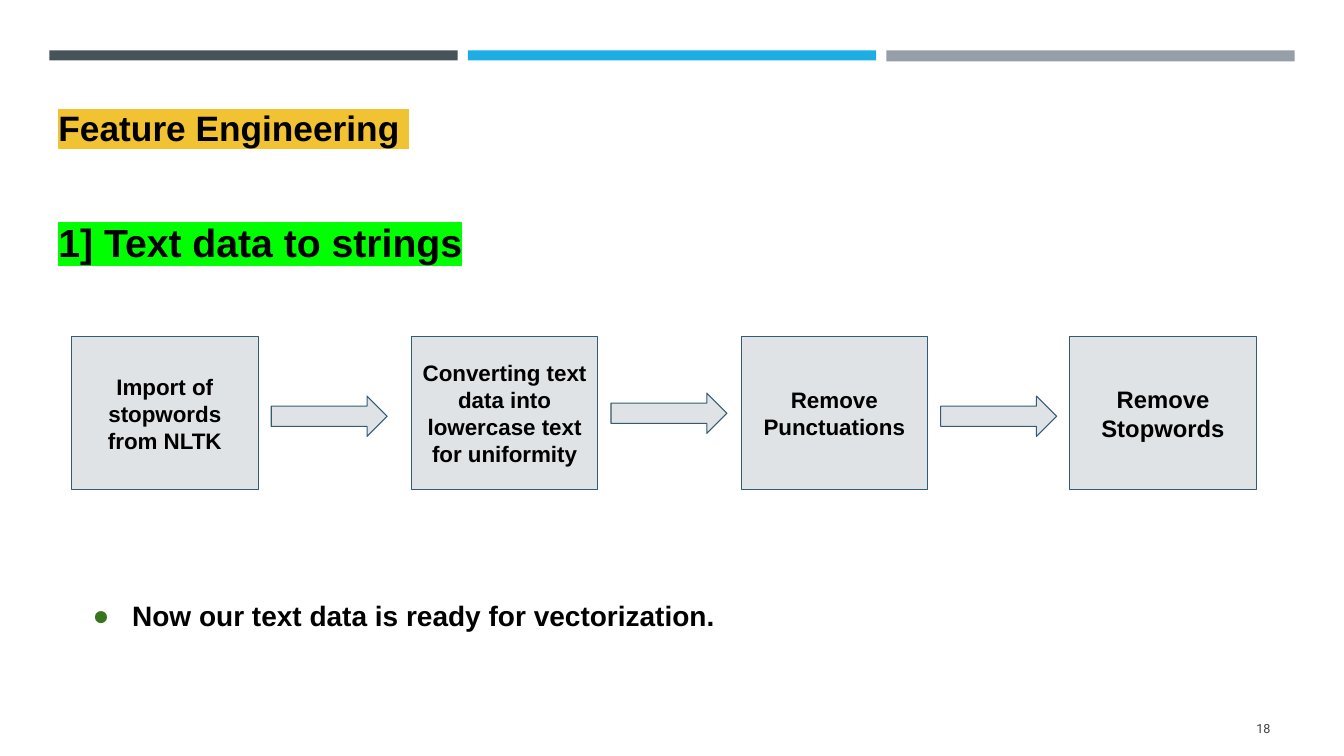
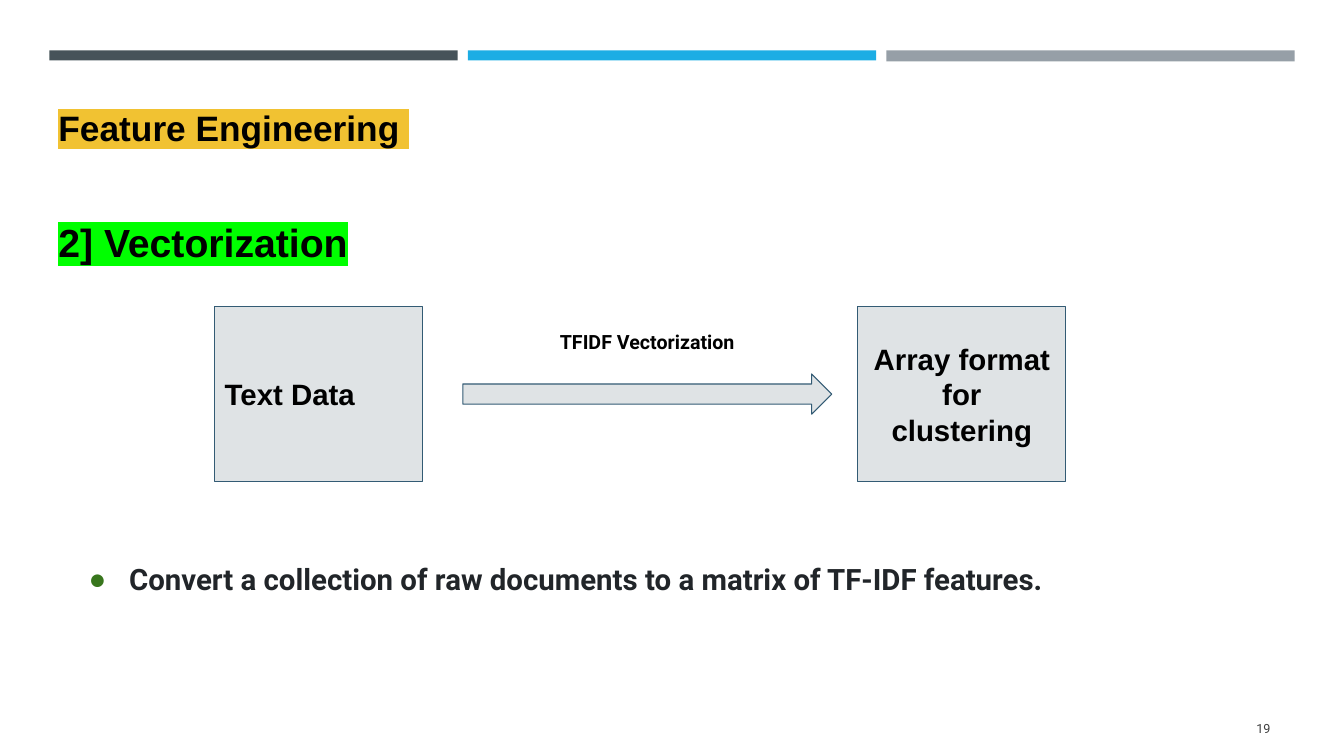
from dataclasses import dataclass

from lxml.etree import SubElement
from pptx import Presentation
from pptx.dml.color import RGBColor
from pptx.enum.shapes import MSO_SHAPE as Shape
from pptx.enum.text import MSO_ANCHOR as Anchor, MSO_AUTO_SIZE as AutoSize, PP_ALIGN as Align
from pptx.oxml import parse_xml
from pptx.oxml.ns import nsdecls, qn
from pptx.util import Inches, Pt

BLACK = "000000"
PANEL = "DFE3E5"
OUTLINE = "335B74"
BULLET = "38761D"
BANDS = (("465359", 0.1), ("1CADE4", 0.1), ("969FA7", 0.11))
BAND_WIDTH = 4.05
BAND_STEP = 4.15
ARROW_HEIGHT = 0.4


@dataclass(frozen=True)
class Area:
    left: float
    top: float
    width: float
    height: float


@dataclass(frozen=True)
class Style:
    size: float
    font: str = "Arial"
    color: str = BLACK
    bold: bool = True
    highlight: str = ""


@dataclass(frozen=True)
class Step:
    text: str
    area: Area
    size: float
    align: Align = Align.CENTER


@dataclass(frozen=True)
class Note:
    text: str
    area: Area
    style: Style
    hanging: float
    spacing: float = 1.0


TITLE = Style(25.2, highlight="F1C232")
TITLE_END = Style(25.2, bold=False, highlight="F1C232")
HEADING = Style(28, highlight="00FF00")
NUMBER = Style(9, "Roboto", "3F3F3F", False)
LABEL = Style(14, "Roboto")


def rgb(color: str) -> RGBColor:
    return RGBColor.from_string(color)


def place(shape, area: Area) -> None:
    shape.left, shape.top = Inches(area.left), Inches(area.top)
    shape.width, shape.height = Inches(area.width), Inches(area.height)


def set_frame(shape, anchor: Anchor, inset: float = 0.1):
    frame = shape.text_frame
    frame.word_wrap = True
    frame.auto_size = AutoSize.NONE
    frame.vertical_anchor = anchor
    frame.margin_left = frame.margin_right = Inches(0.1)
    frame.margin_top = frame.margin_bottom = Inches(inset)
    return frame.paragraphs[0]


def set_spacing(para, lines: float, before: float = 20.7) -> None:
    para.line_spacing = lines
    para.space_before = Pt(before)


def add_span(para, text: str, style: Style) -> None:
    span = para.add_run()
    span.text = text
    span.font.size = Pt(style.size)
    span.font.bold = style.bold
    span.font.name = style.font
    span.font.color.rgb = rgb(style.color)
    if style.highlight:
        fill = span._r.get_or_add_rPr().find(qn("a:solidFill"))
        fill.addnext(parse_xml(
            f'<a:highlight {nsdecls("a")}><a:srgbClr val="{style.highlight}"/></a:highlight>'))


def add_text(page, text: str, area: Area, style: Style, align: Align = Align.LEFT,
             anchor: Anchor = Anchor.TOP, inset: float = 0.1):
    box = page.shapes.add_textbox(0, 0, 0, 0)
    para = set_frame(box, anchor, inset)
    place(box, area)
    para.alignment = align
    add_span(para, text, style)
    return para


def add_block(page, kind: Shape, area: Area, fill: str, outline: str = ""):
    block = page.shapes.add_shape(kind, 0, 0, 0, 0)
    place(block, area)
    block.shadow.inherit = False
    block.fill.solid()
    block.fill.fore_color.rgb = rgb(fill)
    if outline:
        block.line.color.rgb = rgb(outline)
        block.line.width = Pt(0.75)
    else:
        block.line.fill.background()
    return block


def add_step(page, step: Step) -> None:
    box = add_block(page, Shape.RECTANGLE, step.area, PANEL, OUTLINE)
    para = set_frame(box, Anchor.MIDDLE)
    para.alignment = step.align
    add_span(para, step.text, Style(step.size))


def add_arrow(page, left: float, top: float, width: float) -> None:
    add_block(page, Shape.RIGHT_ARROW, Area(left, top, width, ARROW_HEIGHT), PANEL, OUTLINE)


def fill_note(page, note: Note) -> None:
    body = page.placeholders[1]
    place(body, note.area)
    para = set_frame(body, Anchor.TOP)
    set_spacing(para, note.spacing, 20.7 if note.spacing > 1 else 0)
    properties = para._p.get_or_add_pPr()
    properties.set("marL", str(Inches(0.5)))
    properties.set("indent", str(-Inches(note.hanging)))
    color = SubElement(properties, qn("a:buClr"))
    SubElement(color, qn("a:srgbClr")).set("val", BULLET)
    SubElement(properties, qn("a:buFont")).set("typeface", "Arial")
    SubElement(properties, qn("a:buChar")).set("char", "●")
    add_span(para, note.text, note.style)


def add_page(deck, number: int, heading: str, note: Note):
    page = deck.slides.add_slide(deck.slide_layouts[1])
    title = page.shapes.title
    place(title, Area(0.48, 0.71, 11.72, 0.81))
    para = set_frame(title, Anchor.BOTTOM, 0.05)
    para.alignment = Align.LEFT
    set_spacing(para, 1.48)
    add_span(para, "Feature Engineering", TITLE)
    add_span(para, " ", TITLE_END)
    add_text(page, str(number), Area(11.55, 7.03, 1.15, 0.4), NUMBER,
             Align.RIGHT, Anchor.MIDDLE, 0.05)
    set_spacing(add_text(page, heading, Area(0.48, 1.84, 4.31, 0.67), HEADING), 1.48)
    fill_note(page, note)
    return page


def add_bands(page) -> None:
    for index, (color, height) in enumerate(BANDS):
        area = Area(0.49 + index * BAND_STEP, 0.5, BAND_WIDTH, height)
        band = add_block(page, Shape.RECTANGLE, area, color)
        page.slide_layout.shapes.element.append(band.element)


def add_strings_page(deck) -> None:
    note = Note("Now our text data is ready for vectorization.", Area(0.71, 5.68, 6.67, 0.54),
                Style(20, highlight="FFFFFF"), 0.39, 1.48)
    page = add_page(deck, 18, "1] Text data to strings", note)
    add_bands(page)
    steps = (
        ("Import of stopwords from NLTK", 0.71, 16),
        ("Converting text data into lowercase text for uniformity", 4.08, 16),
        ("Remove Punctuations", 7.35, 16),
        ("Remove Stopwords", 10.61, 17),
    )
    for text, left, size in steps:
        add_step(page, Step(text, Area(left, 3.34, 1.85, 1.52), size))
    for (_, left, _), top in zip(steps, (3.93, 3.9, 3.93)):
        add_arrow(page, left + 1.98, top, 1.15)


def add_vectors_page(deck) -> None:
    note = Note("Convert a collection of raw documents to a matrix of TF-IDF features.",
                Area(0.68, 5.47, 10.17, 0.56),
                Style(21, "Roboto", "212529", highlight="FFFFFF"), 0.4)
    page = add_page(deck, 19, "2] Vectorization", note)
    add_step(page, Step("Text Data", Area(2.13, 3.04, 2.06, 1.74), 21, Align.LEFT))
    add_step(page, Step("Array format for clustering", Area(8.51, 3.04, 2.06, 1.74), 21))
    add_arrow(page, 4.59, 3.71, 3.66)
    add_text(page, "TFIDF Vectorization", Area(5.32, 3.17, 2.2, 0.44), LABEL, Align.CENTER)


def main() -> None:
    deck = Presentation()
    deck.slide_width, deck.slide_height = Inches(13.33), Inches(7.5)
    add_strings_page(deck)
    add_vectors_page(deck)
    deck.save("out.pptx")


if __name__ == "__main__":
    main()
